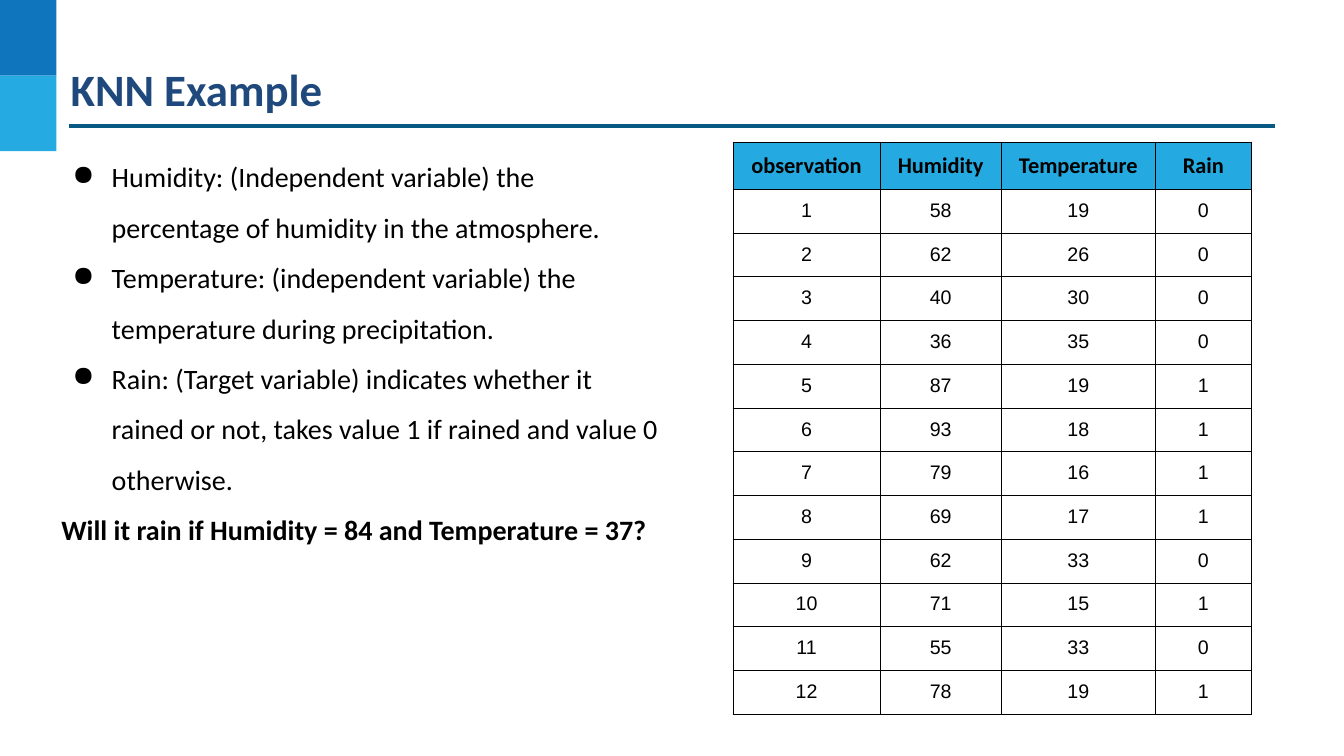
from lxml.etree import SubElement
from pptx import Presentation
from pptx.dml.color import RGBColor
from pptx.enum.shapes import MSO_CONNECTOR, MSO_SHAPE
from pptx.enum.text import PP_ALIGN
from pptx.oxml.ns import qn
from pptx.util import Pt

PX = 9144
HUES = {
    "navy": "0F75BD",
    "sky": "25AAE2",
    "rule": "095A82",
    "title": "1F497D",
    "head": "24AAE1",
    "black": "000000",
}
POINTS = [
    "Humidity: (Independent variable) the percentage of humidity in the atmosphere.",
    "Temperature: (independent variable) the temperature during precipitation.",
    "Rain: (Target variable) indicates whether it rained or not, "
    "takes value 1 if rained and value 0 otherwise.",
]
ASK = "Will it rain if Humidity = 84 and Temperature = 37?"
HEADS = ["observation", "Humidity", "Temperature", "Rain"]
DATA = [
    (58, 19, 0), (62, 26, 0), (40, 30, 0), (36, 35, 0),
    (87, 19, 1), (93, 18, 1), (79, 16, 1), (69, 17, 1),
    (62, 33, 0), (71, 15, 1), (55, 33, 0), (78, 19, 1),
]
COLS = [146, 120, 153, 95]
HEAD_H, TABLE_H = 47, 567


def hue(name):
    """Return the named colour."""
    return RGBColor.from_string(HUES[name])


def style(para, size, face="Calibri", color="black", bold=False):
    """Format every run of a paragraph."""
    for run in para.runs:
        font = run.font
        font.size, font.name, font.bold = Pt(size), face, bold
        font.color.rgb = hue(color)


def block(slide, top, color):
    """Draw one square of the corner band."""
    box = slide.shapes.add_shape(MSO_SHAPE.RECTANGLE, 0, top * PX, 56 * PX, 75 * PX)
    box.shadow.inherit = False
    box.fill.solid()
    box.fill.fore_color.rgb = hue(color)
    box.line.fill.background()


def rule(slide, left, right, top):
    """Draw the line under the title."""
    line = slide.shapes.add_connector(
        MSO_CONNECTOR.STRAIGHT, left * PX, top * PX, right * PX, top * PX)
    line.line.color.rgb = hue("rule")
    line.line.width = Pt(2.25)
    SubElement(line._element.spPr, qn("a:effectLst"))


def text_box(slide, left, top, width, height, inset):
    """Add a wrapping text box and return its frame."""
    box = slide.shapes.add_textbox(left * PX, top * PX, width * PX, height * PX)
    frame = box.text_frame
    frame.word_wrap = True
    frame.margin_left = frame.margin_right = inset * PX
    frame.margin_top = frame.margin_bottom = inset * PX
    return frame


def bullet(para):
    """Give a paragraph a hanging round bullet."""
    props = para._p.get_or_add_pPr()
    props.set("marL", str(50 * PX))
    props.set("indent", str(-39 * PX))
    tint = SubElement(props, qn("a:buClr"))
    SubElement(tint, qn("a:srgbClr"), val=HUES["black"])
    SubElement(props, qn("a:buChar"), char="●")


def body(slide):
    """Write the variables and the question."""
    frame = text_box(slide, 51, 132, 615, 407, 10)
    frame.text = "\n".join([*POINTS, ASK])
    for para in frame.paragraphs:
        asks = para.text == ASK
        if not asks:
            bullet(para)
        para.line_spacing = 1.5
        style(para, 20, bold=asks)


def border(cell):
    """Draw thin black lines round a cell."""
    props = cell._tc.get_or_add_tcPr()
    for side in ("lnL", "lnR", "lnT", "lnB"):
        line = SubElement(props, qn(f"a:{side}"), w=str(Pt(0.75)))
        fill = SubElement(line, qn("a:solidFill"))
        SubElement(fill, qn("a:srgbClr"), val=HUES["black"])


def fill_cell(cell, text, head):
    """Write and format one table cell."""
    cell.margin_left = cell.margin_right = 10 * PX
    cell.margin_top = cell.margin_bottom = 10 * PX
    border(cell)
    if head:
        cell.fill.solid()
        cell.fill.fore_color.rgb = hue("head")
    else:
        cell.fill.background()
    cell.text_frame.text = str(text)
    para = cell.text_frame.paragraphs[0]
    para.alignment = PP_ALIGN.CENTER
    if head:
        style(para, 16, bold=True)
    else:
        style(para, 14, "Arial")


def table(slide, left, top):
    """Build the table of observations."""
    rows = [HEADS, *((num, *vals) for num, vals in enumerate(DATA, 1))]
    grid = slide.shapes.add_table(
        len(rows), len(COLS), left * PX, top * PX, sum(COLS) * PX, TABLE_H * PX).table
    grid.first_row = grid.horz_banding = False
    for col, width in zip(grid.columns, COLS):
        col.width = width * PX
    for i, row in enumerate(rows):
        grid.rows[i].height = HEAD_H * PX if i == 0 else (TABLE_H - HEAD_H) * PX // len(DATA)
        for j, text in enumerate(row):
            fill_cell(grid.cell(i, j), text, i == 0)


def main():
    """Build and save the slide."""
    deck = Presentation()
    deck.slide_width, deck.slide_height = 1333 * PX, 750 * PX
    slide = deck.slides.add_slide(deck.slide_layouts[6])
    block(slide, 0, "navy")
    block(slide, 75, "sky")
    rule(slide, 68, 1265, 125)
    title = text_box(slide, 68, 59, 1229, 83, 2)
    title.text = "KNN Example"
    style(title.paragraphs[0], 32, color="title", bold=True)
    body(slide)
    table(slide, 727, 141)
    deck.save("out.pptx")


if __name__ == "__main__":
    main()
